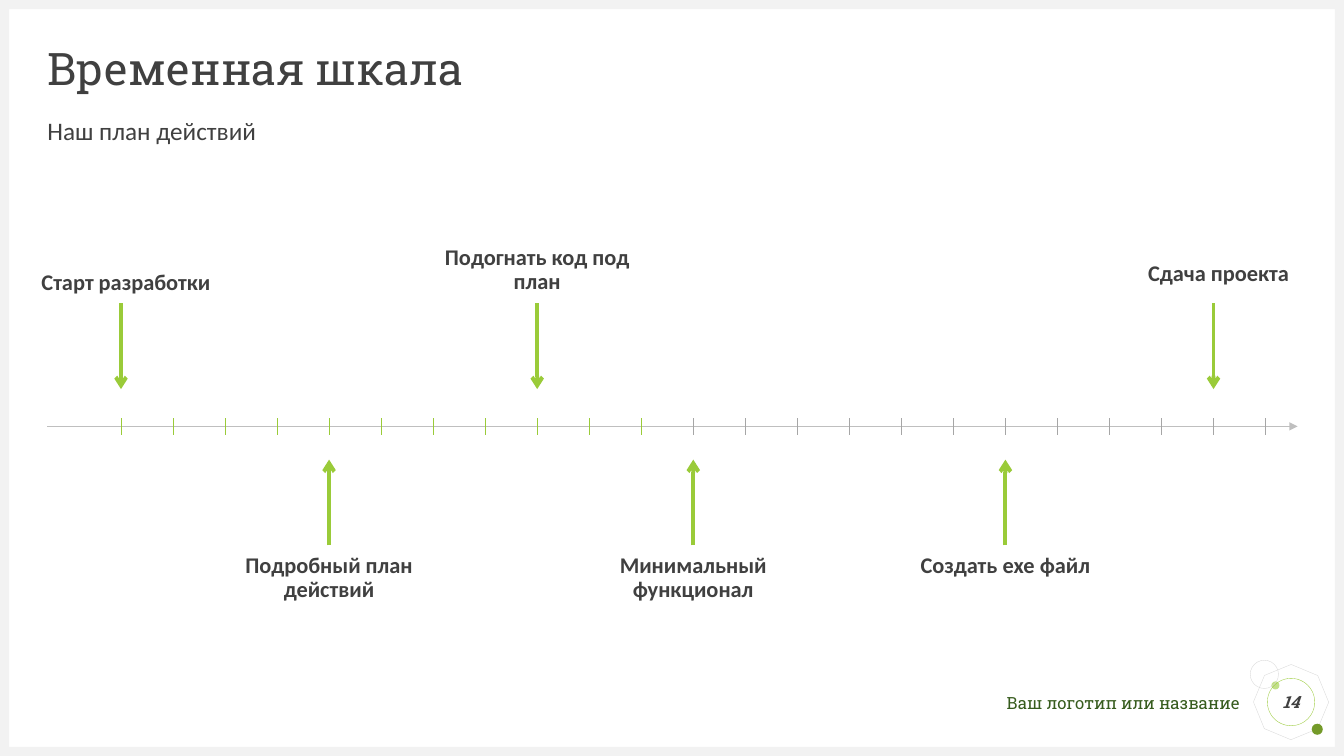
from collections import namedtuple

import pptx
import pptx.dml.color
import pptx.enum.shapes
import pptx.enum.text
import pptx.util
from lxml import etree
from pptx.oxml.ns import qn

RGBColor = pptx.dml.color.RGBColor
Inches = pptx.util.Inches
Pt = pptx.util.Pt
SHAPE = pptx.enum.shapes.MSO_SHAPE
ALIGN = pptx.enum.text.PP_ALIGN
ANCHOR = pptx.enum.text.MSO_ANCHOR

WHITE = RGBColor(0xFF, 0xFF, 0xFF)
TEXT = RGBColor(0x40, 0x40, 0x40)
GREEN = RGBColor(0x9A, 0xCB, 0x39)
LIGHT_GREEN = RGBColor(0xC2, 0xE0, 0x88)
DARK_GREEN = RGBColor(0x74, 0x9A, 0x29)
FOREST = RGBColor(0x37, 0x5C, 0x1E)
FRAME = RGBColor(0xF2, 0xF2, 0xF2)
OUTLINE = RGBColor(0xD9, 0xD9, 0xD9)
AXIS = RGBColor(0xBF, 0xBF, 0xBF)
FUTURE_TICK = RGBColor(0xA6, 0xA6, 0xA6)

HEADING_FONT = "Roboto Slab"
BODY_FONT = "Calibri"
WIDTH, HEIGHT = 13.33, 7.5

# Lengths are inches
Box = namedtuple("Box", "left top width height")
# tick number, label, above the axis, label top, label width, shift from the tick
Milestone = namedtuple("Milestone", "tick label above top width shift")

HEADER = Box(0.47, 0.47, 12.4, 1.01)
TIMELINE = Box(0.47, 2.4, 12.4, 3.83)
FOOTER = Box(9.55, 6.55, 3.6, 0.76)

TICK_COUNT, PAST_TICKS = 23, 11
TICK_PITCH = 0.516
MILESTONES = [
    Milestone(0, "Старт разработки", True, 0.25, 1.96, 0.05),
    Milestone(4, "Подробный план действий", False, 3.06, 1.96, 0),
    Milestone(8, "Подогнать код под план", True, 0, 1.96, 0),
    Milestone(11, "Минимальный функционал", False, 3.06, 2.64, 0),
    Milestone(17, "Создать ехе файл", False, 3.06, 1.96, 0),
    Milestone(21, "Сдача проекта", True, 0.16, 1.96, 0.05),
]


def place(shape, box):
    shape.left, shape.top = Inches(box.left), Inches(box.top)
    shape.width, shape.height = Inches(box.width), Inches(box.height)


def write(shape, text, size, font, color, align=ALIGN.LEFT, anchor=ANCHOR.TOP,
          top_inset=0, spacing=0.9, bold=False, italic=False):
    frame = shape.text_frame
    frame.word_wrap = True
    frame.auto_size = pptx.enum.text.MSO_AUTO_SIZE.NONE
    frame.vertical_anchor = anchor
    frame.margin_left = frame.margin_right = frame.margin_bottom = 0
    frame.margin_top = Inches(top_inset)
    paragraph = frame.paragraphs[0]
    paragraph.alignment = align
    paragraph.line_spacing = spacing
    paragraph.space_before = Pt(0)
    run = paragraph.add_run()
    run.text = text
    run.font.size, run.font.name = Pt(size), font
    run.font.bold, run.font.italic = bold, italic
    run.font.color.rgb = color
    return paragraph


def add_figure(slide, kind, box, fill=None, line=None, rotation=0):
    shape = slide.shapes.add_shape(kind, *map(Inches, box))
    shape.shadow.inherit = False
    shape.rotation = rotation
    if fill is None:
        shape.fill.background()
    else:
        shape.fill.solid()
        shape.fill.fore_color.rgb = fill
    if line is None:
        shape.line.fill.background()
    else:
        shape.line.color.rgb = line
        shape.line.width = Pt(0.25)
    return shape


def add_line(shapes, start, end, color, width, arrowhead=None):
    connector = shapes.add_connector(
        pptx.enum.shapes.MSO_CONNECTOR.STRAIGHT, *map(Inches, start + end))
    connector.line.color.rgb = color
    connector.line.width = Pt(width)
    if arrowhead:
        outline = connector.line._get_or_add_ln()
        etree.SubElement(outline, qn("a:tailEnd")).set("type", arrowhead)
    etree.SubElement(connector._element.spPr, qn("a:effectLst"))


def add_frame(slide, thickness=0.09):
    for box in (Box(0, HEIGHT - thickness, WIDTH, thickness),
                Box(0, 0, WIDTH, thickness),
                Box(0, 0, thickness, HEIGHT),
                Box(WIDTH - thickness, 0, thickness, HEIGHT)):
        add_figure(slide, SHAPE.RECTANGLE, box, fill=FRAME)


def add_header(slide, box):
    title, subtitle = slide.shapes.title, slide.placeholders[1]
    place(title, Box(box.left, box.top, box.width, 0.47))
    write(title, "Временная шкала", 32, HEADING_FONT, TEXT, anchor=ANCHOR.MIDDLE)
    place(subtitle, Box(box.left, box.top + 0.71, box.width, 0.3))
    paragraph = write(subtitle, "Наш план действий", 18, BODY_FONT, TEXT)
    # Plain line without bullet or hanging indent
    properties = paragraph._p.get_or_add_pPr()
    properties.set("marL", "0")
    properties.set("indent", "0")
    etree.SubElement(properties, qn("a:buNone"))


def add_timeline(slide, box):
    axis = box.top + 1.83
    first_tick = box.left + 0.73
    add_line(slide.shapes, (box.left, axis), (box.left + box.width, axis),
             AXIS, 0.5, "triangle")

    # Milestone arrows point at the axis from either side
    for milestone in MILESTONES:
        center = first_tick + milestone.tick * TICK_PITCH
        far, near = (-1.22, -0.37) if milestone.above else (1.18, 0.33)
        add_line(slide.shapes, (center, axis + far), (center, axis + near),
                 GREEN, 2.75, "arrow")
        left = center + milestone.shift - milestone.width / 2
        label = slide.shapes.add_textbox(*map(Inches, (
            left, box.top + milestone.top, milestone.width, 0.61)))
        write(label, milestone.label, 16, BODY_FONT, TEXT, ALIGN.CENTER,
              top_inset=0.04, bold=True)

    # Scale ticks
    ticks = slide.shapes.add_group_shape()
    for number in range(TICK_COUNT):
        x = first_tick + number * TICK_PITCH
        color, width = (GREEN, 0.5) if number < PAST_TICKS else (FUTURE_TICK, 0.25)
        add_line(ticks.shapes, (x, axis - 0.08), (x, axis + 0.09), color, width)


def add_footer(slide, box):
    caption = slide.shapes.add_textbox(*map(Inches, (
        box.left, box.top + 0.32, 2.75, 0.2)))
    write(caption, "Ваш логотип или название", 12, HEADING_FONT, FOREST,
          ALIGN.RIGHT, spacing=1)

    # Page number badge
    def badge_part(kind, left, top, size, **style):
        return add_figure(slide, kind, Box(box.left + left, box.top + top, size, size),
                          **style)

    badge_part(SHAPE.OCTAGON, 2.91, 0.07, 0.69, line=OUTLINE, rotation=22.7)
    badge_part(SHAPE.OVAL, 3.06, 0.21, 0.08, fill=LIGHT_GREEN)
    badge_part(SHAPE.OVAL, 3.46, 0.63, 0.11, fill=DARK_GREEN)
    badge_part(SHAPE.OVAL, 2.85, 0, 0.28, line=OUTLINE)
    number = badge_part(SHAPE.OVAL, 3.02, 0.18, 0.47, line=GREEN)
    write(number, "14", 12, HEADING_FONT, TEXT, ALIGN.CENTER, ANCHOR.MIDDLE,
          spacing=1, bold=True, italic=True)


def main():
    presentation = pptx.Presentation()
    presentation.slide_width = Inches(WIDTH)
    presentation.slide_height = Inches(HEIGHT)
    slide = presentation.slides.add_slide(presentation.slide_layouts[1])
    slide.background.fill.solid()
    slide.background.fill.fore_color.rgb = WHITE
    add_frame(slide)
    add_header(slide, HEADER)
    add_timeline(slide, TIMELINE)
    add_footer(slide, FOOTER)
    presentation.save("out.pptx")


if __name__ == "__main__":
    main()
